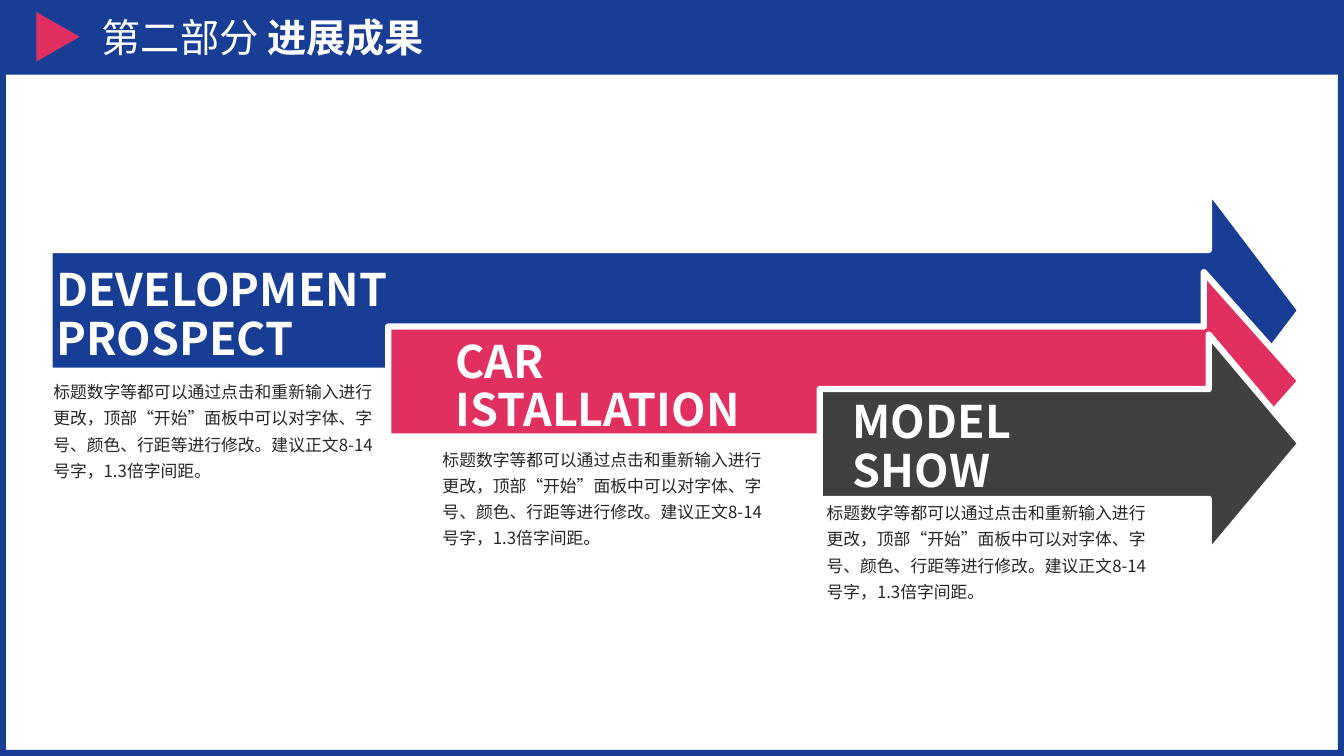
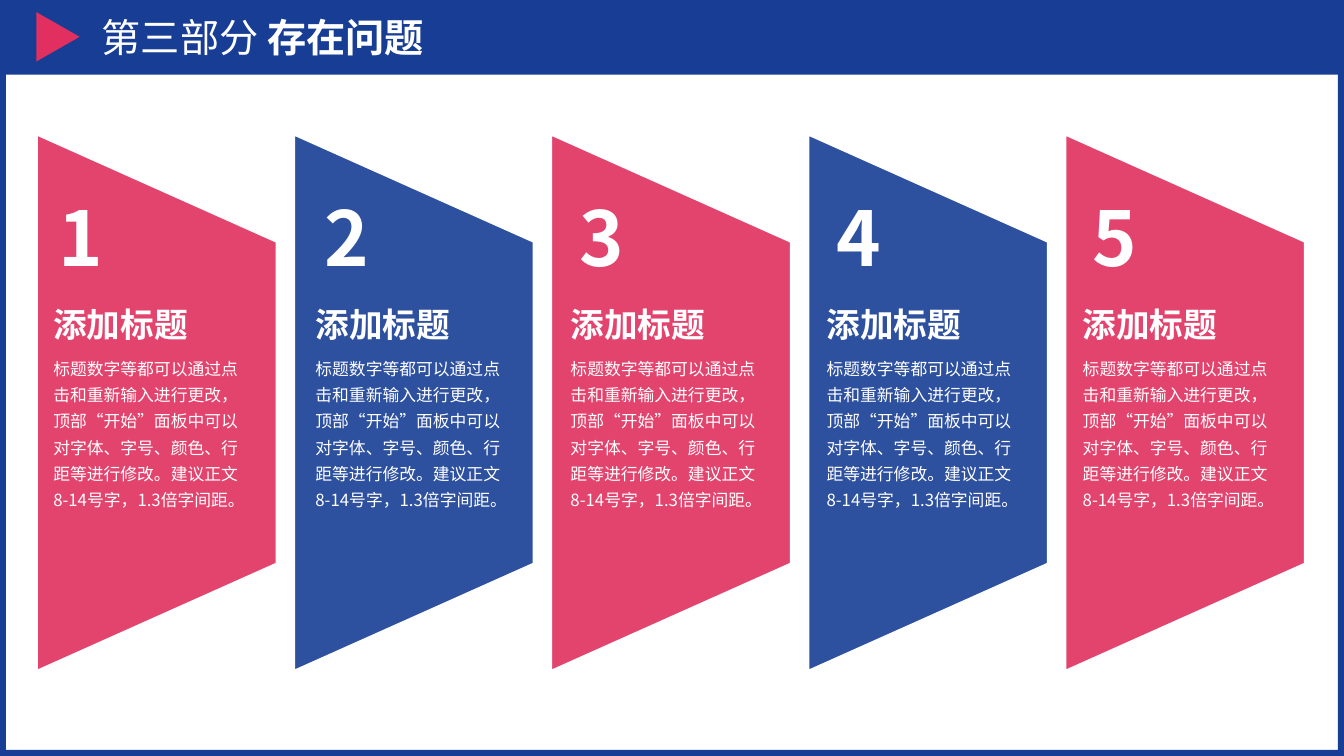
from dataclasses import dataclass
from typing import Any

import pptx
import pptx.dml.color
import pptx.enum.shapes
import pptx.enum.text
import pptx.oxml.ns
import pptx.util
from lxml import etree

PX = 9144  # EMU in one px, 100 px to the inch
WIDE, HIGH, BAND = 1333, 750, 74
FONT = "Noto Sans CJK SC"
BLUE, RED, GREY, INK, WHITE = "173D95", "E1305F", "404040", "262626", "FFFFFF"
KIND = pptx.enum.shapes.MSO_SHAPE
NOTE = ("标题数字等都可以通过点击和重新输入进行更改，顶部“开始”面板中可以对字体、"
        "字号、颜色、行距等进行修改。建议正文8-14号字，1.3倍字间距。")

Box = tuple[int, int, int, int]
Dot = tuple[int, int]


@dataclass(frozen=True)
class Style:
    size: int
    color: str
    bold: bool = False
    gap: float = 1.0
    wrap: bool = True


HEAD = Style(32, WHITE, bold=True, gap=0.9)
BODY = Style(12, INK, gap=1.3)
NUMBER = Style(54, WHITE, bold=True, wrap=False)
LABEL = Style(24, WHITE, bold=True, gap=0.9)
DETAIL = Style(12, WHITE, gap=1.3)
THIN = Style(28, WHITE)
THICK = Style(28, WHITE, bold=True)


@dataclass(frozen=True)
class Arrow:
    left: int
    neck: int
    top: int
    shaft: int
    thick: int
    color: str
    head: str
    head_box: Box
    note_at: Dot

    def dots(self, tip: int = 1290) -> list[Dot]:
        low = self.shaft + self.thick
        base = low + self.shaft - self.top
        return [(self.left, self.shaft), (self.neck, self.shaft),
                (self.neck, self.top), (tip, (self.top + base) // 2),
                (self.neck, base), (self.neck, low), (self.left, low)]


@dataclass(frozen=True)
class Card:
    digit_x: int
    text_x: int
    color: str


ARROWS = [
    Arrow(49, 1199, 188, 248, 120, BLUE, "DEVELOPMENT PROSPECT",
          (46, 261, 479, 107), (43, 368)),
    Arrow(385, 1194, 270, 324, 109, RED, "CAR ISTALLATION",
          (442, 332, 355, 107), (429, 435)),
    Arrow(813, 1199, 332, 386, 109, GREY, "MODEL SHOW",
          (836, 392, 300, 107), (810, 488)),
]
CARDS = [Card(48, 43, RED), Card(312, 303, BLUE), Card(565, 556, RED),
         Card(820, 810, BLUE), Card(1074, 1064, RED)]


def emu(*vals: int) -> list[int]:
    return [val * PX for val in vals]


def rgb(code: str) -> pptx.dml.color.RGBColor:
    return pptx.dml.color.RGBColor.from_string(code)


def put(item: Any, vals: dict[str, Any]) -> None:
    for key, val in vals.items():
        setattr(item, key, val)


def paint(shape: Any, color: str, edge: float = 0, alpha: int = 100) -> None:
    """Fill a shape, with a white edge in points if one is given."""
    shape.shadow.inherit = False
    shape.fill.solid()
    shape.fill.fore_color.rgb = rgb(color)
    if alpha < 100:
        tone = shape.element.spPr.find(".//" + pptx.oxml.ns.qn("a:srgbClr"))
        etree.SubElement(tone, pptx.oxml.ns.qn("a:alpha"), val=str(alpha * 1000))
    if edge:
        shape.line.color.rgb = rgb(WHITE)
        shape.line.width = pptx.util.Pt(edge)
    else:
        shape.line.fill.background()


def write(para: Any, text: str, style: Style) -> None:
    run = para.add_run()
    run.text = text
    put(run.font, {"name": FONT, "size": pptx.util.Pt(style.size), "bold": style.bold})
    run.font.color.rgb = rgb(style.color)
    east = etree.SubElement(run.font._element, pptx.oxml.ns.qn("a:ea"))
    east.set("typeface", FONT)


def label(slide: Any, box: Box, text: str, style: Style) -> None:
    frame = slide.shapes.add_textbox(*emu(*box)).text_frame
    put(frame, {"word_wrap": style.wrap,
                "auto_size": pptx.enum.text.MSO_AUTO_SIZE.SHAPE_TO_FIT_TEXT})
    para = frame.paragraphs[0]
    para.line_spacing = style.gap
    write(para, text, style)


def outline(slide: Any, dots: list[Dot], color: str, edge: float,
            alpha: int = 100) -> None:
    form = slide.shapes.build_freeform(*dots[0], scale=float(PX))
    form.add_line_segments(dots[1:], close=True)
    paint(form.convert_to_shape(), color, edge, alpha)


def dress(deck: Any, layout: Any) -> None:
    """Give the layout its frame, band, marker and title place."""
    for holder in list(layout.placeholders):
        if holder.placeholder_format.idx:
            holder.element.getparent().remove(holder.element)
    title = layout.placeholders[0]
    left, top, width, height = emu(91, 0, 1198, BAND)
    put(title, {"left": left, "top": top, "width": width, "height": height})
    put(title.text_frame, {"vertical_anchor": pptx.enum.text.MSO_ANCHOR.MIDDLE,
                           "auto_size": pptx.enum.text.MSO_AUTO_SIZE.NONE})
    slide = deck.slides[0]
    parts = [(KIND.FRAME, (0, 0, WIDE, HIGH), BLUE, 0),
             (KIND.RECTANGLE, (0, 0, WIDE, BAND), BLUE, 0),
             (KIND.ISOSCELES_TRIANGLE, (33, 15, 49, 43), RED, 90)]
    shapes = []
    for kind, box, color, turn in parts:
        shape = slide.shapes.add_shape(kind, *emu(*box))
        shape.rotation = turn
        paint(shape, color)
        shapes.append(shape)
    shapes[0].adjustments[0] = 0.008
    for spot, shape in enumerate(shapes, 2):
        layout.shapes.element.insert(spot, shape.element)


def entitle(slide: Any, part: str, name: str) -> None:
    para = slide.shapes.title.text_frame.paragraphs[0]
    put(para, {"alignment": pptx.enum.text.PP_ALIGN.LEFT,
               "space_before": pptx.util.Pt(10)})
    write(para, part + " ", THIN)
    write(para, name, THICK)


def results(slide: Any) -> None:
    entitle(slide, "第二部分", "进展成果")
    for arrow in ARROWS:
        outline(slide, arrow.dots(), arrow.color, 4.5)
    for arrow in ARROWS:
        label(slide, arrow.head_box, arrow.head, HEAD)
        label(slide, (*arrow.note_at, 342, 115), NOTE, BODY)


def issues(slide: Any) -> None:
    entitle(slide, "第三部分", "存在问题")
    for index, card in enumerate(CARDS):
        left = 37 + 255 * index
        right = left + 237
        outline(slide, [(left, 665), (left, 134), (right, 240), (right, 559)],
                card.color, 1, alpha=90)
        label(slide, (card.text_x, 301, 205, 46), "添加标题", LABEL)
        label(slide, (card.text_x, 345, 218, 168), NOTE, DETAIL)
        label(slide, (card.digit_x, 184, 67, 101), str(index + 1), NUMBER)


def main() -> None:
    deck = pptx.Presentation()
    width, height = emu(WIDE, HIGH)
    put(deck, {"slide_width": width, "slide_height": height})
    layout = deck.slide_layouts[5]
    first, second = [deck.slides.add_slide(layout) for _ in range(2)]
    dress(deck, layout)
    results(first)
    issues(second)
    deck.save("out.pptx")


if __name__ == "__main__":
    main()
